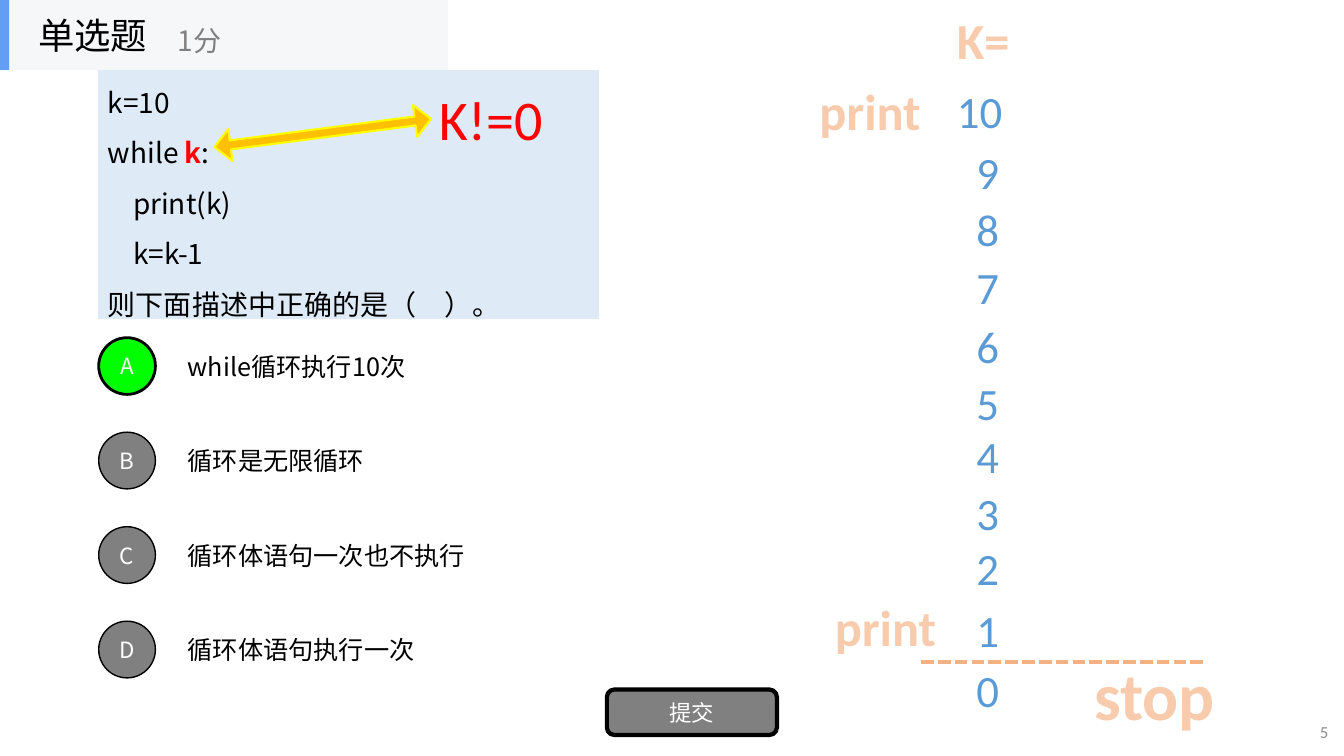
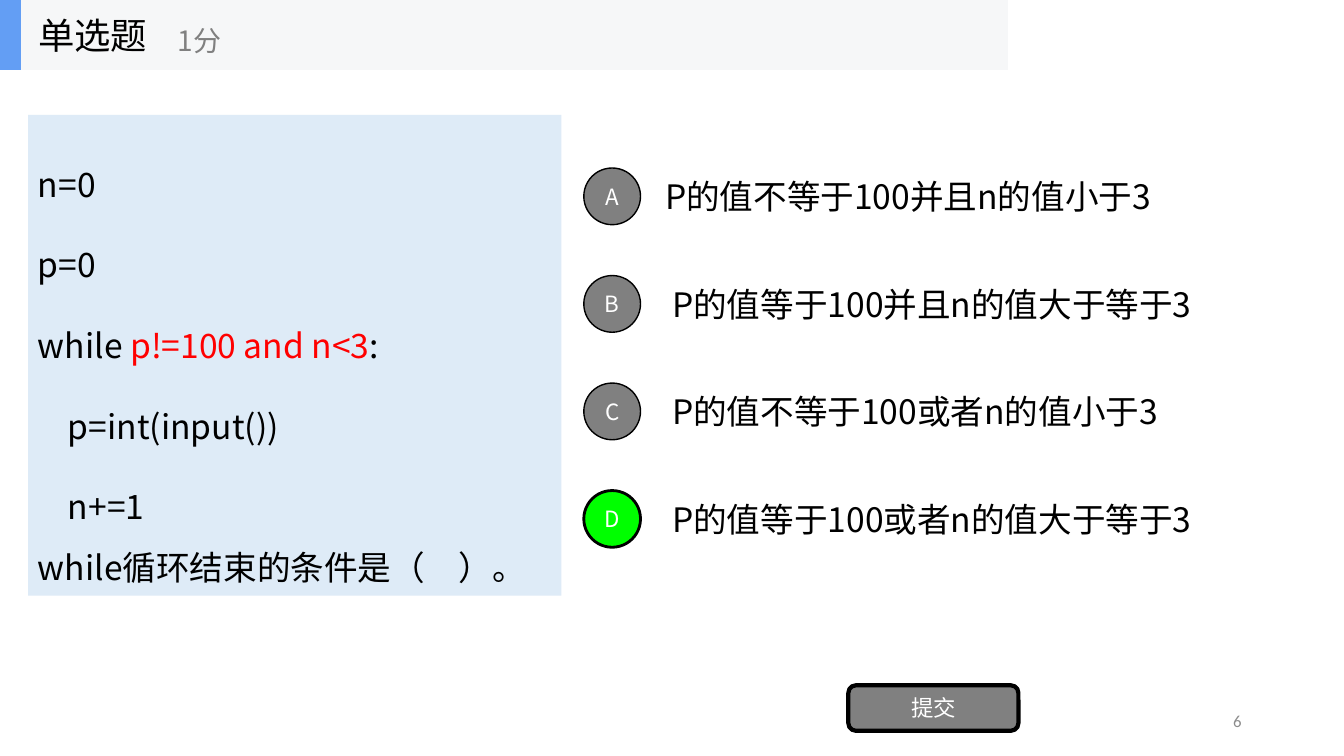
from lxml import etree
from pptx import Presentation
from pptx.dml.color import RGBColor
from pptx.enum import dml, shapes, text
from pptx.oxml import ns
from pptx.util import Pt

BLACK = RGBColor(0x00, 0x00, 0x00)
WHITE = RGBColor(0xFF, 0xFF, 0xFF)
GRAY = RGBColor(0x80, 0x80, 0x80)
PAGE_GRAY = RGBColor(0x8C, 0x8C, 0x8C)
RED = RGBColor(0xFF, 0x00, 0x00)
GREEN = RGBColor(0x00, 0xFF, 0x00)
YELLOW = RGBColor(0xFF, 0xFF, 0x00)
GOLD = RGBColor(0xFF, 0xC0, 0x00)
BLUE = RGBColor(0x5B, 0x9B, 0xD5)
PALE_BLUE = RGBColor(0xDE, 0xEB, 0xF7)
ACCENT = RGBColor(0x63, 0x9E, 0xF4)
BAND = RGBColor(0xF6, 0xF7, 0xF8)
PEACH = RGBColor(0xF8, 0xCB, 0xAD)
ORANGE = RGBColor(0xF4, 0xB1, 0x83)
CJK, LATIN = "Noto Sans CJK SC", "Calibri"
LEFT, CENTER, RIGHT = text.PP_ALIGN.LEFT, text.PP_ALIGN.CENTER, text.PP_ALIGN.RIGHT
MIDDLE, TOP = text.MSO_ANCHOR.MIDDLE, text.MSO_ANCHOR.TOP
SHAPE = shapes.MSO_SHAPE


def add_box(s, kind, box, fill, line=None, width=1):
    sp = s.shapes.add_shape(kind, *map(Pt, box))
    sp.shadow.inherit = False
    sp.fill.solid()
    sp.fill.fore_color.rgb = fill
    if line is None:
        sp.line.fill.background()
    else:
        sp.line.color.rgb = line
        sp.line.width = Pt(width)
    return sp


def style(sp, size, color, font=CJK, align=LEFT, anchor=MIDDLE, bold=False, wrap=True):
    tf = sp.text_frame
    tf.word_wrap = wrap
    tf.auto_size = text.MSO_AUTO_SIZE.NONE
    tf.vertical_anchor = anchor
    for p in tf.paragraphs:
        p.alignment = align
        for r in p.runs:
            r.font.size = Pt(size)
            r.font.bold = bold
            r.font.color.rgb = color
            r.font.name = font
            etree.SubElement(r.font._element, ns.qn("a:ea"), typeface=font)


questions = [
    dict(
        page="5", page_at=(740, 508), band=320, accent=6.5,
        code_box=(70, 50, 358, 178), code_size=20, bold_mark=True,
        spacing=[1.5] * 5,
        code=[("k=10",), ("while ", "k", ":"), ("    print(k)",), ("    k=k-1",),
              ("则下面描述中正确的是（　）。",)],
        option_at=(70.5, 241.2), step=67.5, option_size=18, answer="A",
        options=[("while循环执行10次", 127, 239), ("循环是无限循环", 127, 239),
                 ("循环体语句一次也不执行", 127, 239), ("循环体语句执行一次", 127, 216)],
        submit_at=(433.5, 492.5)),
    dict(
        page="6", page_at=(678, 500), band=720, accent=15,
        code_box=(20, 82, 381, 343.5), code_size=24, bold_mark=False,
        spacing=[2] * 5 + [1.5],
        code=[("n=0",), ("p=0",), ("while ", "p!=100 and n<3", ":"),
              ("    p=int(input())",), ("    n+=1",), ("while循环结束的条件是（　）。",)],
        option_at=(417, 120), step=76.8, option_size=24, answer="D",
        options=[("P的值不等于100并且n的值小于3", 468, 370),
                 ("P的值等于100并且n的值大于等于3", 473, 405),
                 ("P的值不等于100或者n的值小于3", 473, 429),
                 ("P的值等于100或者n的值大于等于3", 473, 416)],
        submit_at=(606, 489.5)),
]

prs = Presentation()
prs.slide_width, prs.slide_height = Pt(960), Pt(540)

for q in questions:
    s = prs.slides.add_slide(prs.slide_layouts[5])
    add_box(s, SHAPE.RECTANGLE, (0, 0, q["band"], 50), BAND)
    add_box(s, SHAPE.RECTANGLE, (0, 0, q["accent"], 50), ACCENT)
    title = s.shapes.title
    title.left, title.top, title.width, title.height = map(Pt, (20, 0, 100, 50))
    title.text_frame.text = "单选题"
    style(title, 26, BLACK)
    title.element.getparent().append(title.element)

    score = s.shapes.add_textbox(*map(Pt, (120, 8.5, 80, 40)))
    score.text_frame.text = "1分"
    style(score, 20, GRAY)
    page = s.shapes.add_textbox(*map(Pt, (*q["page_at"], 216, 29)))
    page.text_frame.text = q["page"]
    style(page, 12, PAGE_GRAY, LATIN, RIGHT)

    code = add_box(s, SHAPE.RECTANGLE, q["code_box"], PALE_BLUE)
    tf = code.text_frame
    for i, (pieces, spacing) in enumerate(zip(q["code"], q["spacing"])):
        p = tf.add_paragraph() if i else tf.paragraphs[0]
        p.line_spacing = spacing
        for piece in pieces:
            p.add_run().text = piece
    style(code, q["code_size"], BLACK)
    for p in tf.paragraphs:
        for r in p.runs[1::2]:
            r.font.color.rgb = RED
            r.font.bold = q["bold_mark"]

    x, y = q["option_at"]
    for letter, (option, left, width) in zip("ABCD", q["options"]):
        chosen = letter == q["answer"]
        circle = add_box(s, SHAPE.OVAL, (x, y, 40.5, 40.5), GREEN if chosen else GRAY,
                         BLACK, 2 if chosen else 1)
        circle.text_frame.text = letter
        style(circle, 16, WHITE, align=CENTER)
        sp = s.shapes.add_textbox(*map(Pt, (left, y - 5, width, 50.5)))
        sp.text_frame.text = option
        style(sp, q["option_size"], BLACK)
        y += q["step"]

    submit = add_box(s, SHAPE.ROUNDED_RECTANGLE, (*q["submit_at"], 121.5, 32.5), GRAY, BLACK, 3)
    submit.text_frame.text = "提交"
    style(submit, 16, WHITE, align=CENTER)

s = prs.slides[0]
digit_tops = [99.5, 140.5, 182, 224, 265, 302.5, 343.5, 382.5, 427, 469.5]
labels = [(str(9 - i), 690, top, 31, 46, 32, BLUE) for i, top in enumerate(digit_tops)]
labels += [
    ("10", 676, 56, 47.5, 46, 32, BLUE),
    ("K!=0", 306, 57, 89, 55.5, 40, RED),
    ("K=", 676, 3, 52.5, 51, 36, PEACH),
    ("print", 577.5, 53.5, 88, 51, 36, PEACH),
    ("print", 588.5, 422, 88, 51, 36, PEACH),
    ("stop", 774, 463, 101.5, 65.5, 48, PEACH),
]
for label, x, y, w, h, size, color in labels:
    sp = s.shapes.add_textbox(*map(Pt, (x, y, w, h)))
    sp.text_frame.text = label
    style(sp, size, color, LATIN, CENTER, TOP, color == PEACH, False)
    if color == PEACH:
        outline = etree.Element(ns.qn("a:ln"), w=str(Pt(1.75)))
        fill = etree.SubElement(outline, ns.qn("a:solidFill"))
        etree.SubElement(fill, ns.qn("a:srgbClr"), val="ED7D31")
        sp.text_frame.paragraphs[0].runs[0].font._element.insert(0, outline)

stop_line = s.shapes.add_connector(shapes.MSO_CONNECTOR.STRAIGHT, *map(Pt, (658, 473, 859, 473)))
stop_line.line.color.rgb = ORANGE
stop_line.line.width = Pt(3)
stop_line.line.dash_style = dml.MSO_LINE.SQUARE_DOT
etree.SubElement(stop_line.element.spPr, ns.qn("a:effectLst"))

arrow = add_box(s, SHAPE.LEFT_RIGHT_ARROW, (152.5, 83.5, 156, 23), GOLD, YELLOW, 1.5)
arrow.rotation = 352.6
arrow.adjustments[0] = 0.28
arrow.adjustments[1] = 0.5

prs.save("out.pptx")
